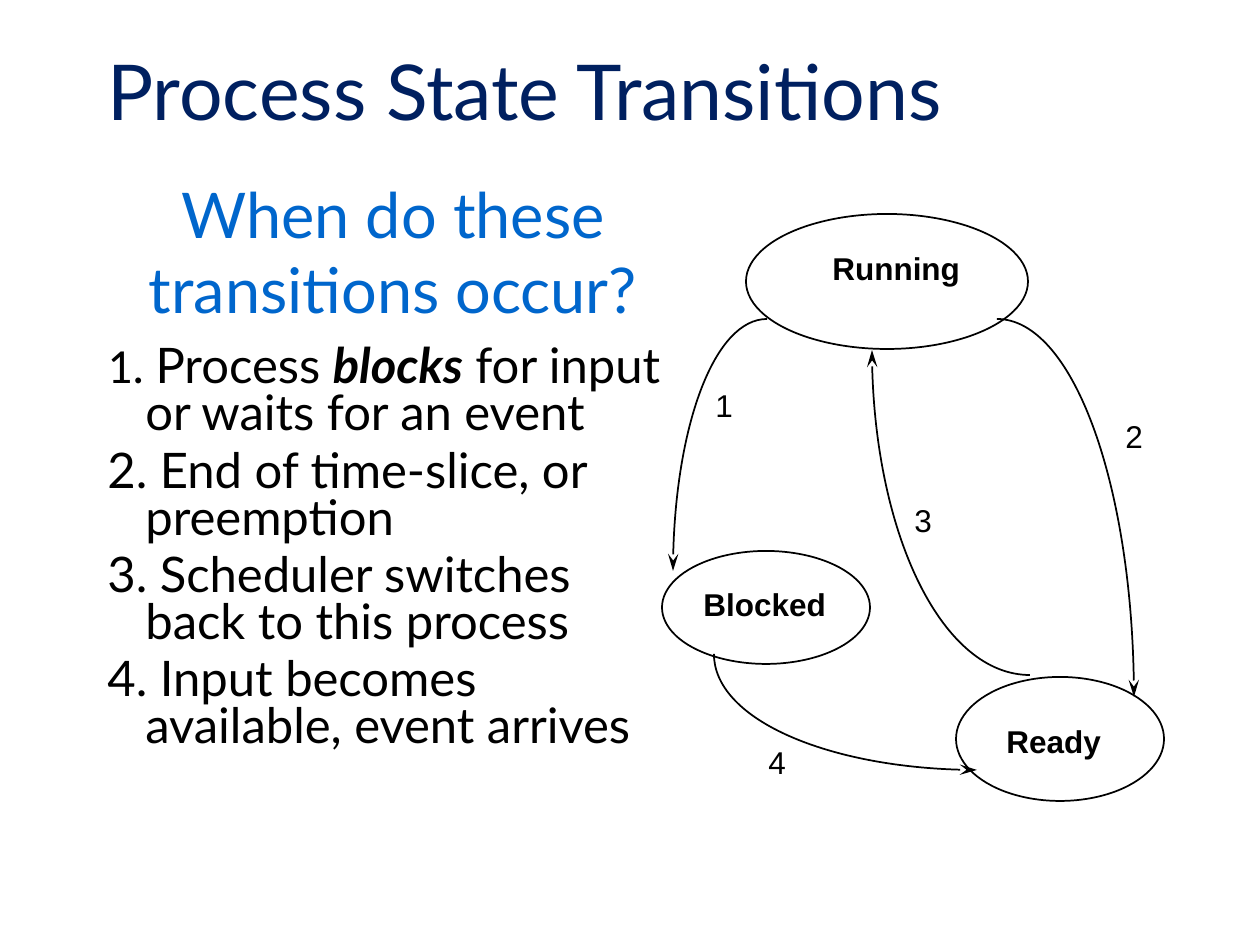
from dataclasses import dataclass

from lxml import etree
from pptx import Presentation
from pptx.dml.color import RGBColor
from pptx.enum.shapes import MSO_SHAPE
from pptx.enum.text import MSO_ANCHOR, MSO_AUTO_SIZE, PP_ALIGN
from pptx.oxml.ns import qn
from pptx.util import Pt

OVAL = MSO_SHAPE.OVAL
MIDDLE, TOP = MSO_ANCHOR.MIDDLE, MSO_ANCHOR.TOP
CENTER, LEFT = PP_ALIGN.CENTER, PP_ALIGN.LEFT
FIT, FIXED = MSO_AUTO_SIZE.SHAPE_TO_FIT_TEXT, MSO_AUTO_SIZE.NONE
SCALE = 914400 / 126  # EMU per px


@dataclass(frozen=True)
class Theme:
    navy: RGBColor = RGBColor(0x00, 0x20, 0x60)
    blue: RGBColor = RGBColor(0x00, 0x66, 0xCC)
    black: RGBColor = RGBColor(0, 0, 0)
    white: RGBColor = RGBColor(255, 255, 255)
    text_font: str = "Lato"
    number_font: str = "Calibri"
    diagram_font: str = "Arial"
    title_size: Pt = Pt(44)
    question_size: Pt = Pt(36)
    body_size: Pt = Pt(28)
    label_size: Pt = Pt(18)
    line_width: Pt = Pt(1)


THEME = Theme()

TITLE = {"name": THEME.text_font, "size": THEME.title_size, "color": THEME.navy}
QUESTION = {"name": THEME.text_font, "size": THEME.question_size, "color": THEME.blue}
BODY = {"name": THEME.text_font, "size": THEME.body_size, "color": THEME.black}
NUMBER = {**BODY, "name": THEME.number_font}
STRESS = {**BODY, "bold": True, "italic": True}
LABEL = {"name": THEME.diagram_font, "size": THEME.label_size, "color": THEME.black}
STATE = {**LABEL, "bold": True}

REASONS = [
    [("1. ", NUMBER), ("Process ", BODY), ("blocks", STRESS),
     (" for input or waits for an event", BODY)],
    [("2. End of time-slice, or preemption", BODY)],
    [("3. Scheduler switches back to this process", BODY)],
    [("4. Input becomes available, event arrives", BODY)],
]

# name, oval box, label box (a little wider than its word)
STATES = [
    ("Running", (746, 214, 282, 135), (820, 243, 156, 50)),
    ("Blocked", (662, 551, 208, 113), (691, 579, 150, 50)),
    ("Ready", (956, 677, 208, 124), (994, 716, 122, 50)),
]

# number, level end, upright end, arrowhead element, label corner
TRANSITIONS = [
    ("1", (767, 319), (673, 571), "tailEnd", (703, 380)),
    ("2", (997, 319), (1134, 697), "tailEnd", (1113, 411)),
    ("3", (1030, 675), (872, 350), "tailEnd", (902, 495)),
    ("4", (977, 770), (714, 654), "headEnd", (756, 737)),
]


def px(length):
    return round(length * SCALE)


def add_text(page, box, paragraphs, wrap=True, grow=True, anchor=TOP,
             align=LEFT, para_format=None):
    frame = page.shapes.add_textbox(*map(px, box)).text_frame
    frame.word_wrap = wrap
    frame.auto_size = FIT if grow else FIXED
    frame.vertical_anchor = anchor
    for index, spans in enumerate(paragraphs):
        para = frame.add_paragraph() if index else frame.paragraphs[0]
        para.alignment = align
        for key, value in (para_format or {}).items():
            if index or key != "space_before":
                setattr(para, key, value)
        for text, style in spans:
            span = para.add_run()
            span.text = text
            for key, value in style.items():
                if key == "color":
                    span.font.color.rgb = value
                else:
                    setattr(span.font, key, value)
    return frame


def set_outline(shape):
    shape.shadow.inherit = False
    shape.line.color.rgb = THEME.black
    shape.line.width = THEME.line_width


def add_state(page, name, oval_box, label_box):
    oval = page.shapes.add_shape(OVAL, *map(px, oval_box))
    oval.fill.solid()
    oval.fill.fore_color.rgb = THEME.white
    set_outline(oval)
    add_text(page, label_box, [[(name, STATE)]], wrap=False)


def add_quarter_arc(page, level, upright, arrowhead):
    """Draw a quarter ellipse, level at one end and upright at the other."""
    builder = page.shapes.build_freeform(*level, scale=SCALE)
    builder.add_line_segments([upright], close=False)
    arc = builder.convert_to_shape()
    arc.fill.background()
    set_outline(arc)

    # Bend the straight segment with the usual quarter-ellipse handles
    start, end = [
        (int(point.get("x")), int(point.get("y")))
        for point in arc.element.iter(qn("a:pt"))
    ]
    bend = 0.55
    handles = [
        (start[0] + bend * (end[0] - start[0]), start[1]),
        (end[0], end[1] + bend * (start[1] - end[1])),
        end,
    ]
    segment = next(arc.element.iter(qn("a:lnTo")))
    curve = etree.Element(qn("a:cubicBezTo"))
    for x, y in handles:
        etree.SubElement(curve, qn("a:pt"), x=str(round(x)), y=str(round(y)))
    segment.getparent().replace(segment, curve)

    outline = arc.element.spPr.find(qn("a:ln"))
    etree.SubElement(outline, qn(f"a:{arrowhead}"), type="stealth", len="lg")


def main():
    deck = Presentation()
    deck.slide_width, deck.slide_height = px(1260), px(945)
    page = deck.slides.add_slide(deck.slide_layouts[6])

    # Title, question and list of reasons
    add_text(page, (95, 32, 1071, 116), [[("Process State Transitions", TITLE)]],
             grow=False, anchor=MIDDLE)
    add_text(page, (70, 169, 646, 164),
             [[("When do these transitions occur?", QUESTION)]], align=CENTER)
    reasons = add_text(page, (95, 340, 586, 557), REASONS, grow=False,
                       para_format={"line_spacing": 0.8, "space_before": Pt(5.8)})
    for para in reasons.paragraphs:
        properties = para._p.get_or_add_pPr()
        properties.set("marL", str(px(38)))
        properties.set("indent", str(px(-38)))

    # State diagram
    for state in STATES:
        add_state(page, *state)
    for number, level, upright, arrowhead, corner in TRANSITIONS:
        add_quarter_arc(page, level, upright, arrowhead)
        add_text(page, (*corner, 44, 50), [[(number, LABEL)]], wrap=False)

    deck.save("out.pptx")


if __name__ == "__main__":
    main()
